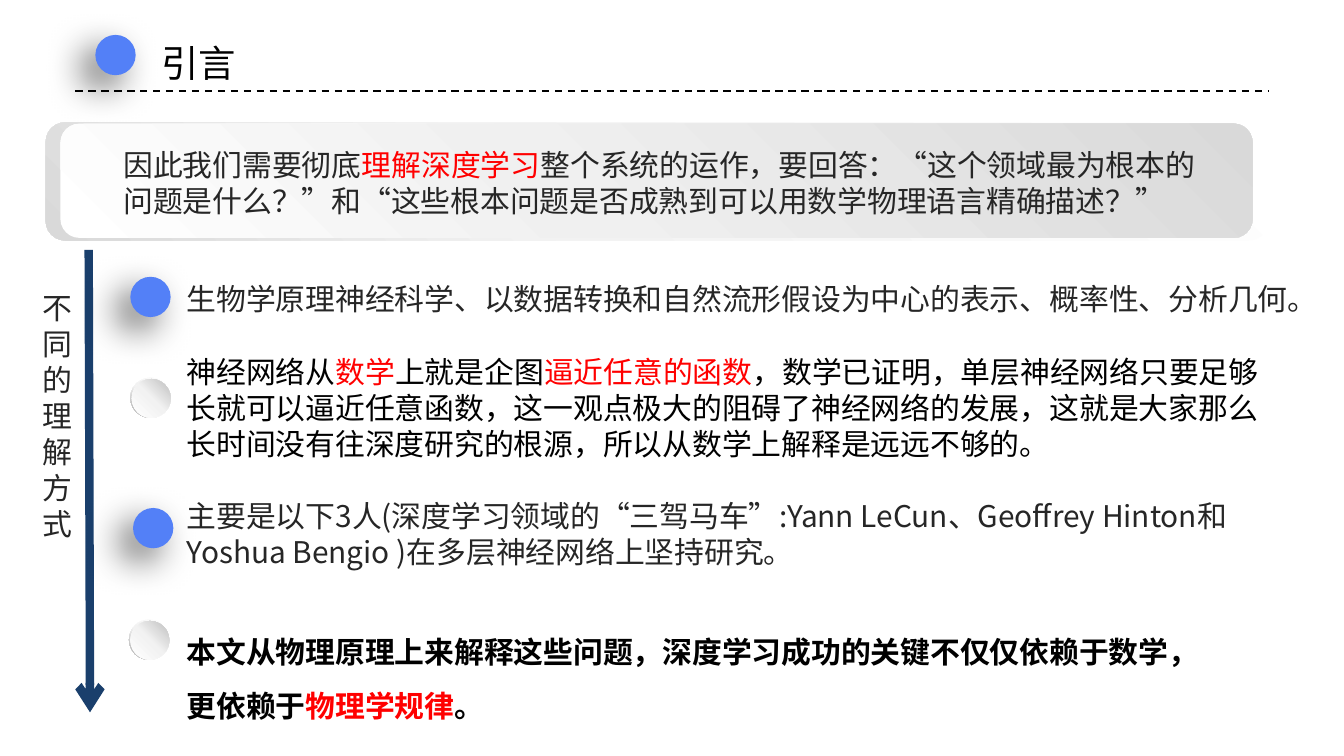
from lxml import etree
from pptx import Presentation
from pptx import util as u
from pptx.dml.color import RGBColor
from pptx.enum import dml, lang, shapes, text
from pptx.oxml import parse_xml
from pptx.oxml.ns import nsdecls, qn

COLORS = {"black": "000000", "dark": "262626", "red": "FF0000",
          "blue": "5380F7", "navy": "1A3F6C"}
FONT = "Noto Sans CJK SC"
LINE_PITCH = 1.205  # line height as a multiple of the text size
BULLET = 3
GRADIENTS = {
    "panel rim": (135, [(0, "FFFFFF"), (62, "F2F2F2"), (100, "D9D9D9")]),
    "panel face": (315, [(0, "FFFFFF"), (42, "F0F0F0"), (100, "D9D9D9")]),
    "ring": (135, [(0, "FFFFFF"), (55, "F2F2F2"), (100, "A6A6A6")]),
    "button": (315, [(0, "FFFFFF"), (51, "F2F2F2"), (100, "BFBFBF")]),
}


def cells(*counts):
    """Lengths on a grid of 100 columns whose square cells are 0.1 inch."""
    return [u.Inches(count / 10) for count in counts]


def rgb(name):
    return RGBColor.from_string(COLORS[name])


def add_plain_shape(parent, kind, *place):
    shape = parent.add_shape(kind, *cells(*place))
    shape.shadow.inherit = False
    shape.line.fill.background()
    return shape


def add_gradient_shape(parent, kind, gradient, *place):
    shape = add_plain_shape(parent, kind, *place)
    angle, stops = GRADIENTS[gradient]
    marks = "".join(f'<a:gs pos="{share * 1000}"><a:srgbClr val="{color}"/></a:gs>'
                    for share, color in stops)
    fill = parse_xml(f'<a:gradFill {nsdecls("a")} rotWithShape="1"><a:gsLst>{marks}'
                     f'</a:gsLst><a:lin ang="{angle * 60000}" scaled="0"/></a:gradFill>')
    shape._element.spPr.find(qn("a:prstGeom")).addnext(fill)
    return shape


def add_blue_bullet(page, left, top):
    bullet = add_plain_shape(page.shapes, shapes.MSO_SHAPE.OVAL,
                             left, top, BULLET, BULLET)
    bullet.fill.solid()
    bullet.fill.fore_color.rgb = rgb("blue")
    effects = bullet._element.spPr.find(qn("a:effectLst"))
    effects.append(parse_xml(
        f'<a:outerShdw {nsdecls("a")} blurRad="{u.Pt(20)}" dist="{u.Pt(10)}" '
        f'dir="{135 * 60000}" algn="tr" rotWithShape="0"><a:srgbClr val="000000">'
        '<a:alpha val="60000"/></a:srgbClr></a:outerShdw>'))


def add_grey_bullet(page, left, top):
    group = page.shapes.add_group_shape().shapes
    ring = add_gradient_shape(group, shapes.MSO_SHAPE.DONUT, "ring",
                              left, top, BULLET, BULLET)
    ring.adjustments[0] = 0.05
    add_gradient_shape(group, shapes.MSO_SHAPE.OVAL, "button",
                       left + 0.1, top + 0.1, BULLET - 0.1, BULLET - 0.1)


def add_panel(page):
    group = page.shapes.add_group_shape().shapes
    rectangle = shapes.MSO_SHAPE.ROUNDED_RECTANGLE
    add_gradient_shape(group, rectangle, "panel rim", 3.4, 9.1, 91, 8.8)
    add_gradient_shape(group, rectangle, "panel face", 4.5, 9.2, 88.7, 8.5)


def add_line(page, color, width, *ends):
    line = page.shapes.add_connector(shapes.MSO_CONNECTOR.STRAIGHT, *cells(*ends))
    line.line.color.rgb = rgb(color)
    line.line.width = u.Pt(width)
    etree.SubElement(line._element.spPr, qn("a:effectLst"))
    return line


def write(box, paragraphs, size=16, latin=FONT, bold=False, spacing=1):
    """Fill a box with paragraphs, each a list of (words, color) runs."""
    frame = box.text_frame
    frame.word_wrap = True
    frame.auto_size = text.MSO_AUTO_SIZE.NONE
    frame.vertical_anchor = text.MSO_ANCHOR.TOP
    frame.margin_top = u.Inches(0.07)
    pitch = u.Pt(round(size * LINE_PITCH * spacing, 1))
    for index, runs in enumerate(paragraphs):
        para = frame.add_paragraph() if index else frame.paragraphs[0]
        para.alignment = text.PP_ALIGN.LEFT
        para.line_spacing = pitch
        para.space_before = pitch if index else u.Pt(0)
        for words, color in runs:
            span = para.add_run()
            span.text = words
            span.font.size = u.Pt(size)
            span.font.bold = bold
            span.font.name = latin
            span.font.color.rgb = rgb(color)
            span.font.language_id = lang.MSO_LANGUAGE_ID.SIMPLIFIED_CHINESE
            east_asian = parse_xml(f'<a:ea {nsdecls("a")} typeface="{FONT}"/>')
            span.font._element.find(qn("a:latin")).addnext(east_asian)


def add_text(page, place, paragraphs, **style):
    write(page.shapes.add_textbox(*cells(*place)), paragraphs, **style)


def set_title(page, words):
    title = page.shapes.title
    title.left, title.top, title.width, title.height = cells(11, 2.3, 20, 4.4)
    write(title, [[(words, "black")]], size=20)


def main():
    deck = Presentation()
    deck.slide_width, deck.slide_height = cells(100, 56.25)
    page = deck.slides.add_slide(deck.slide_layouts[5])

    set_title(page, "引言")
    add_panel(page)
    rule = add_line(page, "black", 1, 5.6, 6.8, 94.4, 6.8)
    rule.line.dash_style = dml.MSO_LINE.DASH
    add_text(page, (8.2, 10.2, 82.9, 6.4), [[
        ("因此我们需要彻底", "dark"), ("理解深度学习", "red"),
        ("整个系统的运作，要回答：“这个领域最为根本的问题是什么？”和"
         "“这些根本问题是否成熟到可以用数学物理语言精确描述？”", "dark")]])

    arrow = add_line(page, "navy", 4.5, 6.6, 18.6, 6.7, 53)
    etree.SubElement(arrow.line._get_or_add_ln(), qn("a:tailEnd"), type="arrow")
    add_text(page, (2.2, 20.8, 3.1, 19.9), [[("不同的理解方式", "dark")]])

    for left, top in ((7.1, 2.6), (9.7, 20.6), (9.9, 37.8)):
        add_blue_bullet(page, left, top)
    for left, top in ((9.7, 28.1), (9.6, 46.1)):
        add_grey_bullet(page, left, top)

    add_text(page, (12.9, 20.2, 84.8, 3.7), [[
        ("生物学原理神经科学、以数据转换和自然流形假设为中心的表示、"
         "概率性、分析几何。", "dark")]])
    add_text(page, (12.9, 25.6, 83.2, 17.2), [
        [("神经网络从", "black"), ("数学", "red"), ("上就是企图", "black"),
         ("逼近任意的函数", "red"),
         ("，数学已证明，单层神经网络只要足够长就可以逼近任意函数，"
          "这一观点极大的阻碍了神经网络的发展，这就是大家那么长时间没有往"
          "深度研究的根源，所以从数学上解释是远远不够的。", "black")],
        [("主要是以下3人(深度学习领域的“三驾马车”:Yann LeCun、Geoffrey Hinton"
          "和Yoshua Bengio )在多层神经网络上坚持研究。", "dark")]])
    add_text(page, (12.9, 45.1, 77, 8.6), [[
        ("本文从物理原理上来解释这些问题，深度学习成功的关键不仅仅依赖于数学，"
         "更依赖于", "black"), ("物理学规律", "red"), ("。", "black")]],
        latin="Calibri", bold=True, spacing=1.5)

    deck.save("out.pptx")


if __name__ == "__main__":
    main()
